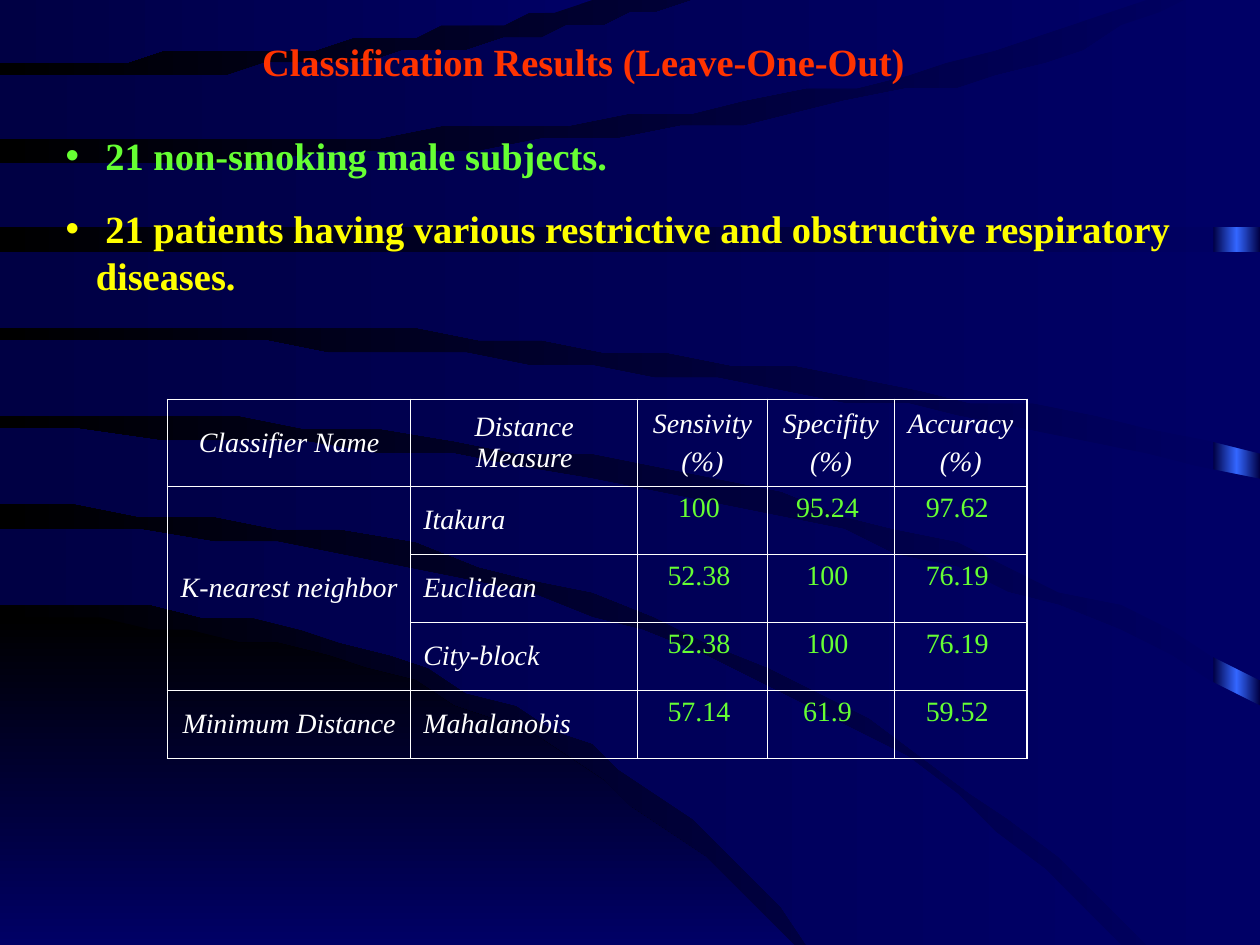
import copy
import pptx
import pptx.dml.color
import pptx.enum.shapes
import pptx.enum.text
import pptx.oxml
import pptx.oxml.ns
import pptx.util

COLUMNS, ROWS = 100, 75
STEPS = 20
FONT = "Times New Roman"
NAVY, DUSK, BLACK, BLUE = "000066", "000044", "000000", "3366FF"
WHITE, GREEN, YELLOW, RED = "FFFFFF", "66FF33", "FFFF00", "FF3300"
THIN, THICK = 0.45, 1.08
ALIGN = pptx.enum.text.PP_ALIGN
ANCHOR = pptx.enum.text.MSO_ANCHOR

BANDS = [
    ((41.8, 58, 89.3, ROWS), (47.7, 42.7, 64.2, ROWS), []),
    ((34.4, 64, COLUMNS, 56), (40.3, 58, 90.9, ROWS), [(COLUMNS, ROWS)]),
    ((26.9, 54, COLUMNS, 37.9), (33, 64, COLUMNS, 54.2), []),
    ((19.6, 50, COLUMNS, 19.6), (25.5, 56, COLUMNS, 36.4), []),
    ((12.8, 70, 94.1, 0), (18.2, 50, COLUMNS, 18.2), [(COLUMNS, 0)]),
    ((6.1, 31, 54.9, 0), (11.4, 64, 91.3, 0), []),
    ((0, 25, 49.1, 0), (4.7, 26, 49.1, 0), []),
]

RESULTS = [
    ["Classifier Name", "Distance Measure", "Sensivity\n(%)", "Specifity\n(%)", "Accuracy\n(%)"],
    ["K-nearest neighbor", "Itakura", "100 ", "95.24 ", "97.62 "],
    ["", "Euclidean", "52.38 ", "100 ", "76.19 "],
    ["", "City-block", "52.38 ", "100 ", "76.19 "],
    ["Minimum Distance", "Mahalanobis", "57.14 ", "61.9 ", "59.52 "],
]


def color(value):
    return pptx.dml.color.RGBColor.from_string(value)


def curve(start, bend, right, end):
    points = []
    for step in range(STEPS + 1):
        t = step / STEPS
        points.append((2 * t * (1 - t) * bend + t * t * right, start + t * t * (end - start)))
    return points


class Board:
    def __init__(self, deck):
        self.slide = deck.slides.add_slide(deck.slide_layouts[3])
        self.cell = deck.slide_width / COLUMNS

    def length(self, cells):
        return round(cells * self.cell)

    def gradient(self, fill, owner, colors, angle=180):
        fill.gradient()
        stops = owner.find(".//" + pptx.oxml.ns.qn("a:gsLst"))
        for _ in colors[2:]:
            stops.append(copy.deepcopy(stops[-1]))
        for index, (stop, value) in enumerate(zip(fill.gradient_stops, colors)):
            stop.color.rgb = color(value)
            stop.position = index / (len(colors) - 1)
        fill.gradient_angle = angle

    def background(self, colors):
        self.gradient(self.slide.background.fill, self.slide.element, colors)

    def decorate(self, shape, colors, angle):
        self.gradient(shape.fill, shape.element, colors, angle)
        shape.line.fill.background()
        shape.shadow.inherit = False

    def bar(self, left, top, width, height, colors):
        shape = self.slide.shapes.add_shape(
            pptx.enum.shapes.MSO_SHAPE.RECTANGLE, *map(self.length, (left, top, width, height)))
        self.decorate(shape, colors, 180)

    def band(self, upper, lower, corner, colors, angle=180):
        points = curve(*upper) + corner + curve(*lower)[::-1]
        builder = self.slide.shapes.build_freeform(*points[0], scale=self.cell)
        builder.add_line_segments(points[1:], close=True)
        self.decorate(builder.convert_to_shape(), colors, angle)

    def style(self, para, size, value, align, bold=False, italic=False):
        para.alignment = align
        para.font.name = FONT
        para.font.size = pptx.util.Pt(size)
        para.font.bold, para.font.italic = bold, italic
        para.font.color.rgb = color(value)

    def words(self, index, text, place, value, align=ALIGN.LEFT, hanging=0):
        box = self.slide.placeholders[index]
        box.left, box.top, box.width, box.height = map(self.length, place)
        box.element.getparent().append(box.element)
        frame = box.text_frame
        frame.text = text
        frame.word_wrap = True
        frame.auto_size = pptx.enum.text.MSO_AUTO_SIZE.NONE
        frame.vertical_anchor = ANCHOR.TOP
        para = frame.paragraphs[0]
        if hanging:
            properties = para._p.get_or_add_pPr()
            properties.set("marL", str(self.length(hanging)))
            properties.set("indent", str(-self.length(hanging)))
        para.space_before = pptx.util.Pt(0)
        self.style(para, 22, value, align, bold=True)

    def borders(self, cell, widths):
        properties = cell._tc.get_or_add_tcPr()
        for side, width in zip("LRTB", widths):
            properties.append(pptx.oxml.parse_xml(
                f'<a:ln{side} {pptx.oxml.ns.nsdecls("a")} w="{pptx.util.Pt(width)}"><a:solidFill>'
                f'<a:srgbClr val="{WHITE}"/></a:solidFill></a:ln{side}>'))

    def table(self, left, top, widths, heights, rows):
        place = map(self.length, (left, top, sum(widths), sum(heights)))
        table = self.slide.shapes.add_table(len(heights), len(widths), *place).table
        table.first_row = table.horz_banding = False
        for column, width in zip(table.columns, widths):
            column.width = self.length(width)
        for row, height in zip(table.rows, heights):
            row.height = self.length(height)
        for r, row in enumerate(rows):
            for c, text in enumerate(row):
                cell = table.cell(r, c)
                edges = (c == 0, c == len(row) - 1, r == 0, r == len(rows) - 1)
                self.borders(cell, [THICK if edge else THIN for edge in edges])
                cell.fill.background()
                label = r == 0 or c < 2
                cell.vertical_anchor = ANCHOR.MIDDLE if label else ANCHOR.TOP
                cell.text = text
                align = ALIGN.LEFT if r and c == 1 else ALIGN.CENTER
                for index, para in enumerate(cell.text_frame.paragraphs):
                    para.space_before = pptx.util.Pt(4 if index else 0)
                    self.style(para, 16, WHITE if label else GREEN, align, italic=label)
        table.cell(1, 0).merge(table.cell(3, 0))


def main():
    deck = pptx.Presentation()
    deck.slide_width, deck.slide_height = pptx.util.Inches(10), pptx.util.Inches(7.5)
    board = Board(deck)
    board.background([NAVY, BLACK])
    board.bar(96.3, 0, 3.7, ROWS, [DUSK, BLUE, DUSK])
    board.band((49.1, 40, 62.8, ROWS), (ROWS, 30, 62.8, ROWS), [], [BLACK, NAVY], 270)
    for upper, lower, corner in BANDS:
        board.band(upper, lower, corner, [NAVY, DUSK])
    board.words(0, "Classification Results (Leave-One-Out)", (19.2, 2.5, 54.2, 4.7), RED, ALIGN.CENTER)
    board.table(13.3, 31.7, [19.3, 18, 10.3, 10.1, 10.5], [6.9] + [5.4] * 4, RESULTS)
    board.words(1, " 21 non-smoking male subjects.", (4.2, 10, 91.7, 4.7), GREEN, hanging=2.4)
    board.words(2, " 21 patients having various restrictive and obstructive respiratory diseases.",
                (4.2, 15.8, 93.3, 8.4), YELLOW, hanging=2.4)
    deck.save("out.pptx")


if __name__ == "__main__":
    main()
